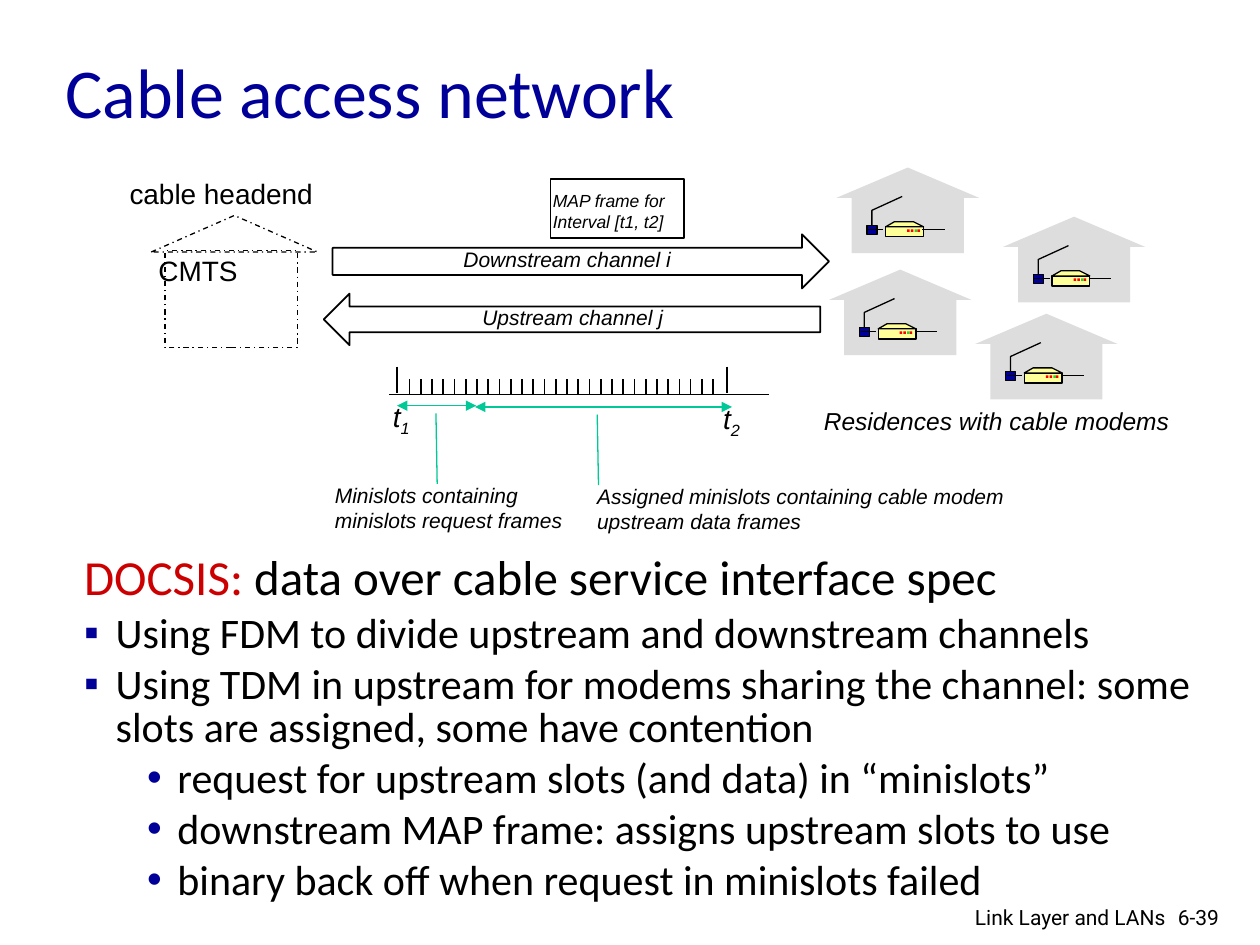
from lxml import etree
from pptx import Presentation
from pptx.dml.color import RGBColor
from pptx.enum.dml import MSO_LINE
from pptx.enum.shapes import MSO_CONNECTOR, MSO_SHAPE
from pptx.enum.text import MSO_ANCHOR, PP_ALIGN
from pptx.oxml.ns import qn
from pptx.util import Inches, Pt

RECT, TRIANGLE = MSO_SHAPE.RECTANGLE, MSO_SHAPE.ISOSCELES_TRIANGLE
RIGHT_ARROW, LEFT_ARROW = MSO_SHAPE.RIGHT_ARROW, MSO_SHAPE.LEFT_ARROW
STRAIGHT, DASH_DOT = MSO_CONNECTOR.STRAIGHT, MSO_LINE.DASH_DOT
LEFT, CENTER, RIGHT = PP_ALIGN.LEFT, PP_ALIGN.CENTER, PP_ALIGN.RIGHT
MIDDLE = MSO_ANCHOR.MIDDLE
BLACK, NAVY, RED, GREEN = "000000", "000099", "CC0000", "00C896"
GRAY, YELLOW = "DDDDDD", "FFFF99"
color = RGBColor.from_string

prs = Presentation()
prs.slide_width, prs.slide_height = Inches(10), Inches(7.5)
slide = prs.slides.add_slide(prs.slide_layouts[5])
shapes = slide.shapes


def paint(shape, fill=None, line=None, width=0.75):
    shape.shadow.inherit = False
    if fill:
        shape.fill.solid()
        shape.fill.fore_color.rgb = color(fill)
    else:
        shape.fill.background()
    if line:
        shape.line.color.rgb = color(line)
        shape.line.width = Pt(width)
    else:
        shape.line.fill.background()


def draw_line(x1, y1, x2, y2, stroke=BLACK, width=0.75, arrows=False):
    line = shapes.add_connector(STRAIGHT, Inches(x1), Inches(y1), Inches(x2), Inches(y2))
    line.line.color.rgb = color(stroke)
    line.line.width = Pt(width)
    if arrows:
        for end in ("a:headEnd", "a:tailEnd"):
            etree.SubElement(line.line._get_or_add_ln(), qn(end), type="triangle")
    etree.SubElement(line._element.spPr, qn("a:effectLst"))


title = shapes.title
title.left, title.top, title.width, title.height = map(Inches, (0.42, 0.26, 6.15, 0.91))
title.text_frame.text = "Cable access network"
title.text_frame.vertical_anchor = MIDDLE
heading = title.text_frame.paragraphs[0]
heading.alignment = LEFT
heading.font.name, heading.font.size = "Calibri", Pt(40)
heading.font.color.rgb = color(NAVY)

points = [
    (0, "Using FDM to divide upstream and downstream channels"),
    (0, "Using TDM in upstream for modems sharing the channel: "
        "some slots are assigned, some have contention"),
    (1, "request for upstream slots (and data) in “minislots”"),
    (1, "downstream MAP frame: assigns upstream slots to use"),
    (1, "binary back off when request in minislots failed"),
]
indents = [(0.25, 0.25, "▪"), (0.74, 0.24, "•")]
body = shapes.add_textbox(Inches(0.57), Inches(4.36), Inches(9.43), Inches(2.5)).text_frame
body.word_wrap = True
lead = body.paragraphs[0]
lead.line_spacing = 0.85
for words, ink in (("DOCSIS: ", RED), ("data over cable service interface spec", BLACK)):
    run = lead.add_run()
    run.text = words
    run.font.name, run.font.size = "Calibri", Pt(28)
    run.font.color.rgb = color(ink)
for level, words in points:
    point = body.add_paragraph()
    point.text = words
    point.level = level
    point.line_spacing = 0.85
    point.space_before = Pt(4.8)
    margin, hanging, bullet = indents[level]
    props = point._p.get_or_add_pPr()
    props.set("marL", str(Inches(margin)))
    props.set("indent", str(-Inches(hanging)))
    bullet_color = etree.SubElement(props, qn("a:buClr"))
    etree.SubElement(bullet_color, qn("a:srgbClr"), val=NAVY)
    etree.SubElement(props, qn("a:buFont"), typeface="Arial")
    etree.SubElement(props, qn("a:buChar"), char=bullet)
    point.font.name, point.font.size = "Calibri", Pt(24)
    point.font.color.rgb = color(BLACK)

outlines = [
    (RECT, 4.37, 1.42, 1.06, 0.47, 1, None),
    (RIGHT_ARROW, 2.64, 1.86, 3.94, 0.43, 1, None),
    (LEFT_ARROW, 2.57, 2.33, 3.94, 0.41, 1, None),
    (RECT, 1.31, 1.99, 1.05, 0.77, 0.75, DASH_DOT),
    (TRIANGLE, 1.2, 1.71, 1.32, 0.29, 0.75, DASH_DOT),
]
for kind, x, y, w, h, weight, dash in outlines:
    outline = shapes.add_shape(kind, Inches(x), Inches(y), Inches(w), Inches(h))
    paint(outline, line=BLACK, width=weight)
    if dash:
        outline.line.dash_style = dash

draw_line(3.09, 3.13, 6.1, 3.13, width=1)
for x in (3.15, 5.77):
    draw_line(x, 2.91, x, 3.12, width=1)
tick_count = 28
for tick in range(tick_count):
    x = 3.25 + tick * (5.66 - 3.25) / (tick_count - 1)
    draw_line(x, 3.01, x, 3.13, width=1)
draw_line(3.15, 3.22, 3.78, 3.22, GREEN, arrows=True)
draw_line(3.77, 3.23, 5.81, 3.23, GREEN, arrows=True)
draw_line(3.46, 3.28, 3.47, 3.84, GREEN)
draw_line(4.74, 3.29, 4.75, 3.85, GREEN)

labels = [
    (4.29, 1.46, 1.13, 0.44, "MAP frame for\nInterval [t1, t2]", 10, "Arial", True, LEFT, Pt(12)),
    (6.44, 3.17, 3.01, 0.34, "Residences with cable modems", 14, "Arial", True, LEFT, None),
    (3.58, 1.91, 1.91, 0.3, "Downstream channel i", 12, "Arial", True, LEFT, None),
    (3.73, 2.37, 1.69, 0.3, "Upstream channel j", 12, "Arial", True, LEFT, None),
    (4.64, 3.79, 3.51, 0.5, "Assigned minislots containing cable modem\nupstream data frames",
     12, "Arial", True, LEFT, None),
    (2.56, 3.78, 2.07, 0.5, "Minislots containing\nminislots request frames",
     12, "Arial", True, LEFT, None),
    (0.7, 1.4, 2.11, 0.31, "cable headend", 16, "Arial", False, CENTER, 0.8),
    (1.16, 1.96, 1.04, 0.37, "CMTS", 16, "Arial", False, LEFT, None),
    (9.25, 7.13, 0.6, 0.3, "6-39", 12, "Roboto", False, LEFT, None),
    (6.97, 7.13, 2.38, 0.26, "Link Layer and LANs", 12, "Roboto", False, RIGHT, None),
]
for x, y, w, h, words, size, face, italic, align, spacing in labels:
    label = shapes.add_textbox(Inches(x), Inches(y), Inches(w), Inches(h)).text_frame
    label.word_wrap = not italic
    label.text = words
    for paragraph in label.paragraphs:
        paragraph.alignment = align
        paragraph.line_spacing = spacing
        paragraph.font.name, paragraph.font.size = face, Pt(size)
        paragraph.font.italic = italic
        paragraph.font.color.rgb = color(BLACK)

for x, y, index in ((3.02, 3.12, "1"), (5.64, 3.14, "2")):
    time_mark = shapes.add_textbox(Inches(x), Inches(y), Inches(0.39), Inches(0.37)).text_frame
    time_mark.word_wrap = False
    for words in ("t", index):
        run = time_mark.paragraphs[0].add_run()
        run.text = words
        run.font.name, run.font.size, run.font.italic = "Arial", Pt(16), True
        run.font.color.rgb = color(BLACK)
    run.font._element.set("baseline", "-25000")

leds = [(0.64, "FF0000"), (0.62, "33CC33"), (0.59, "FF0000"), (0.56, "FF0000")]
house_parts = [
    (TRIANGLE, 0, 0, 1.13, 0.24, GRAY, None),
    (RECT, 0.12, 0.21, 0.89, 0.47, GRAY, None),
    (RECT, 0.39, 0.47, 0.3, 0.08, YELLOW, BLACK),
    (RECT, 0.24, 0.46, 0.08, 0.07, NAVY, BLACK),
] + [(RECT, led_x, 0.49, 0.02, 0.02, led, None) for led_x, led in leds]
modem_lid = [(0.69, 0.47), (0.61, 0.43), (0.46, 0.43), (0.39, 0.47)]
antenna = [(0.28, 0.46), (0.28, 0.34), (0.52, 0.23)]
for house_x, house_y in ((6.64, 1.33), (7.96, 1.72), (7.74, 2.49), (6.58, 2.14)):
    for kind, x, y, w, h, fill, line in house_parts:
        part = shapes.add_shape(kind, Inches(house_x + x), Inches(house_y + y),
                                Inches(w), Inches(h))
        paint(part, fill, line)
    for outline, fill in ((modem_lid, YELLOW), (antenna, None)):
        corners = [(Inches(house_x + x), Inches(house_y + y)) for x, y in outline]
        builder = shapes.build_freeform(*corners[0])
        builder.add_line_segments(corners[1:], close=fill is not None)
        paint(builder.convert_to_shape(), fill, BLACK)
    for start, end in ((0.25, 0.37), (0.68, 0.86)):
        draw_line(house_x + start, house_y + 0.49, house_x + end, house_y + 0.49)

prs.save("out.pptx")
